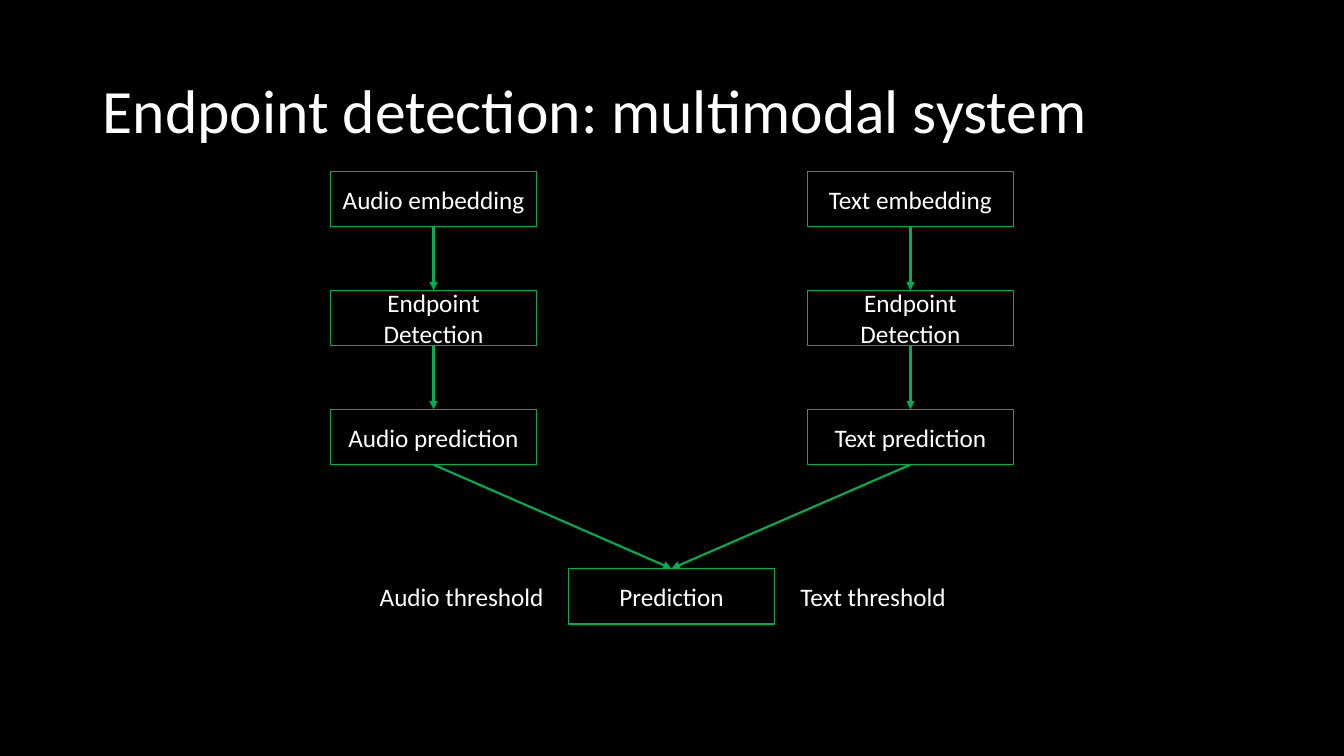
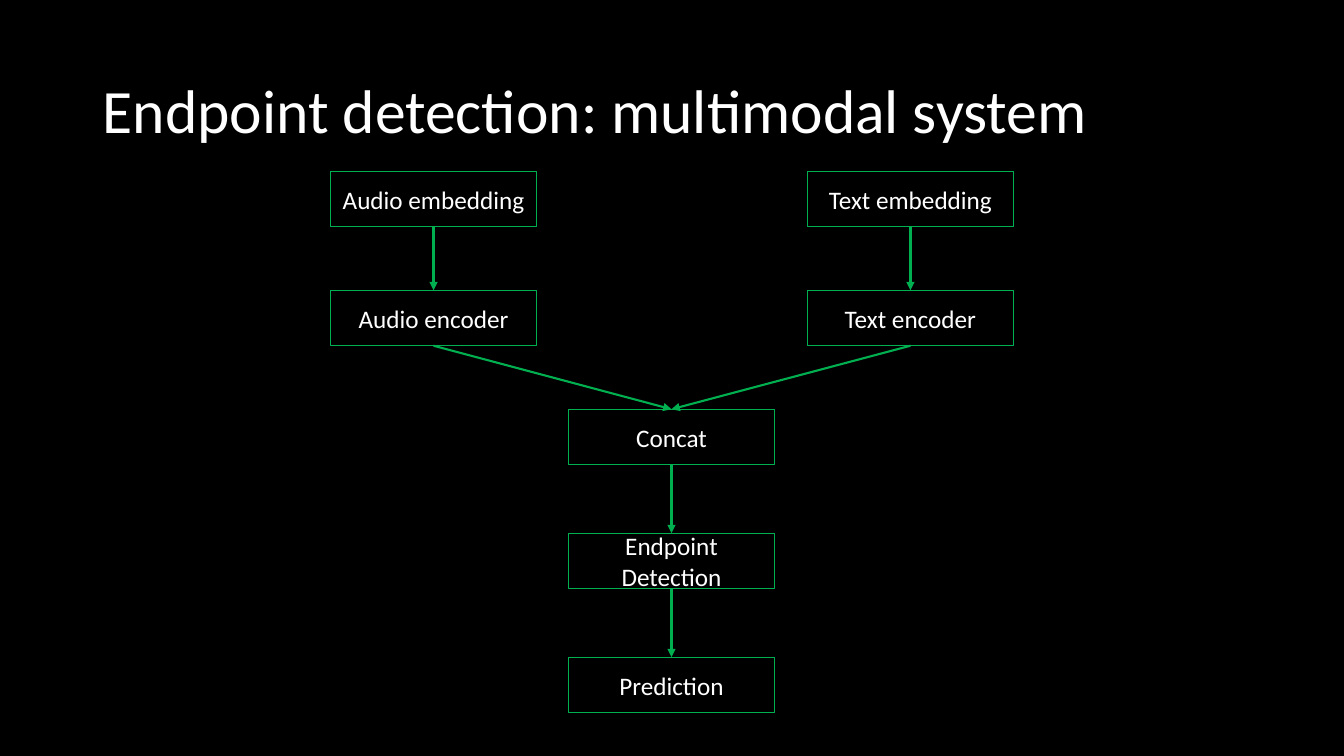
"""Build two flow diagrams of multimodal endpoint detection systems."""
from dataclasses import dataclass

from lxml.etree import SubElement
from pptx import Presentation
from pptx.dml.color import RGBColor
from pptx.enum.shapes import MSO_CONNECTOR, MSO_SHAPE
from pptx.enum.text import MSO_ANCHOR, PP_ALIGN
from pptx.oxml.ns import qn
from pptx.util import Inches, Pt


@dataclass(frozen=True)
class Theme:
    background: RGBColor = RGBColor(0x00, 0x00, 0x00)
    text: RGBColor = RGBColor(0xFF, 0xFF, 0xFF)
    accent: RGBColor = RGBColor(0x00, 0xB0, 0x50)
    font: str = "Calibri"
    title_size: Pt = Pt(44)
    body_size: Pt = Pt(18)
    box_line: Pt = Pt(1)
    arrow_line: Pt = Pt(1.5)


THEME = Theme()
BOX_W, BOX_H = 2.04, 0.55
LABEL_W, LABEL_H = 2.37, 0.32
COLUMNS = {"audio": 3.28, "joint": 5.64, "text": 8.01}
TOP, ROW_STEP = 1.7, 1.18

SLIDES = [
    {
        "title": "Endpoint detection: multimodal system",
        "branches": {
            "audio": ["Audio embedding", "Endpoint Detection", "Audio prediction"],
            "text": ["Text embedding", "Endpoint Detection", "Text prediction"],
        },
        "joint": ["Prediction"],
        "joint_top": 5.64,
        "labels": [
            ("Audio threshold", 3.12, PP_ALIGN.RIGHT),
            ("Text threshold", 7.84, PP_ALIGN.LEFT),
        ],
    },
    {
        "title": "Endpoint detection: multimodal system",
        "branches": {
            "audio": ["Audio embedding", "Audio encoder"],
            "text": ["Text embedding", "Text encoder"],
        },
        "joint": ["Concat", "Endpoint Detection", "Prediction"],
        "joint_top": 4.06,
        "joint_step": 1.23,
        "labels": [],
    },
]


def set_text(shape, text, size, align):
    tf = shape.text_frame
    tf.word_wrap = True
    tf.vertical_anchor = MSO_ANCHOR.MIDDLE
    p = tf.paragraphs[0]
    p.text = text
    p.alignment = align
    p.font.name = THEME.font
    p.font.size = size
    p.font.color.rgb = THEME.text
    return p


def add_label(s, text, left, top, width, height, size, align):
    box = s.shapes.add_textbox(Inches(left), Inches(top), Inches(width), Inches(height))
    return set_text(box, text, size, align)


def add_box(s, text, left, top):
    sp = s.shapes.add_shape(
        MSO_SHAPE.RECTANGLE, Inches(left), Inches(top), Inches(BOX_W), Inches(BOX_H)
    )
    sp.shadow.inherit = False
    sp.fill.solid()
    sp.fill.fore_color.rgb = THEME.background
    sp.line.color.rgb = THEME.accent
    sp.line.width = THEME.box_line
    set_text(sp, text, THEME.body_size, PP_ALIGN.CENTER)
    return sp


def add_arrow(s, upper, lower):
    arrow = s.shapes.add_connector(MSO_CONNECTOR.STRAIGHT, 0, 0, 0, 0)
    arrow.begin_connect(upper, 2)
    arrow.end_connect(lower, 0)
    arrow.line.color.rgb = THEME.accent
    arrow.line.width = THEME.arrow_line
    SubElement(arrow.line._get_or_add_ln(), qn("a:tailEnd"), type="triangle")
    SubElement(arrow._element.spPr, qn("a:effectLst"))


def add_chain(s, texts, left, top, step):
    boxes = [add_box(s, text, left, top + i * step) for i, text in enumerate(texts)]
    for upper, lower in zip(boxes, boxes[1:]):
        add_arrow(s, upper, lower)
    return boxes


def add_diagram(prs, content):
    s = prs.slides.add_slide(prs.slide_layouts[6])
    s.background.fill.solid()
    s.background.fill.fore_color.rgb = THEME.background
    title = add_label(
        s, content["title"], 0.92, 0.4, 11.5, 1.45, THEME.title_size, PP_ALIGN.LEFT
    )
    title.line_spacing = 0.9

    joint_top = content["joint_top"]
    joint = add_chain(
        s, content["joint"], COLUMNS["joint"], joint_top, content.get("joint_step", ROW_STEP)
    )
    for column, texts in content["branches"].items():
        branch = add_chain(s, texts, COLUMNS[column], TOP, ROW_STEP)
        add_arrow(s, branch[-1], joint[0])

    label_top = joint_top + (BOX_H - LABEL_H) / 2
    for text, left, align in content["labels"]:
        add_label(s, text, left, label_top, LABEL_W, LABEL_H, THEME.body_size, align)


def main():
    prs = Presentation()
    prs.slide_width, prs.slide_height = Inches(13.33), Inches(7.5)
    for content in SLIDES:
        add_diagram(prs, content)
    prs.save("out.pptx")


if __name__ == "__main__":
    main()
